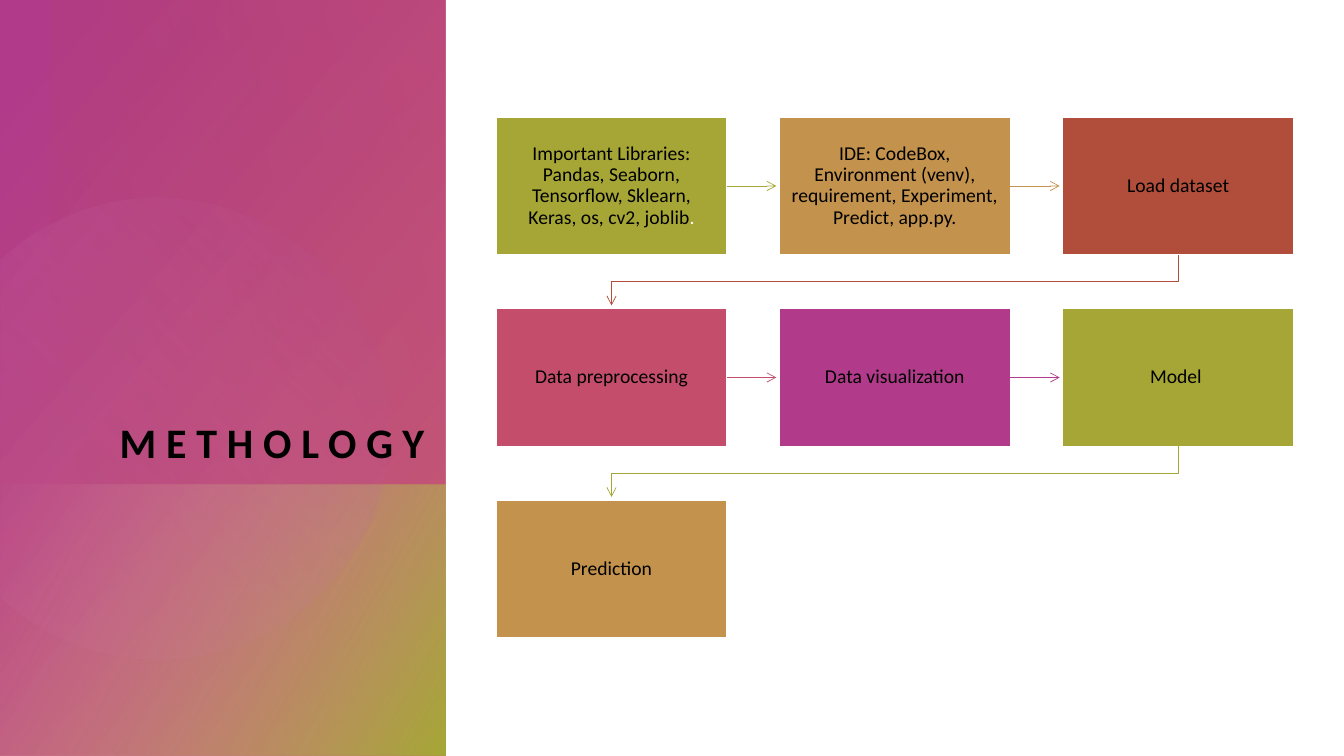
"""Build the methodology slide: a gradient sidebar and a seven-step flow."""
from itertools import pairwise
from math import cos, radians, sin, tan

from lxml import etree
from pptx import Presentation
from pptx.dml.color import RGBColor
from pptx.enum.shapes import MSO_CONNECTOR as Link, MSO_SHAPE as Shape
from pptx.enum.text import MSO_ANCHOR as Anchor, PP_ALIGN as Align
from pptx.oxml.ns import qn
from pptx.util import Inches, Pt

colour = RGBColor.from_string
OLIVE, OCHRE, RUST, ROSE, PURPLE = "A6A637", "C3924D", "B14E3B", "C34D6B", "B13B8A"


def blend(shape, angle, *stops):
    """Fill a shape with a gradient of (position, colour, opacity) stops."""
    shape.shadow.inherit = False
    shape.line.fill.background()
    shape.fill.solid()
    solid = shape.element.spPr.find(qn("a:solidFill"))
    gradient = etree.Element(qn("a:gradFill"), rotWithShape="1")
    stop_list = etree.SubElement(gradient, qn("a:gsLst"))
    for position, tone, opacity in stops:
        stop = etree.SubElement(stop_list, qn("a:gs"), pos=str(position * 1000))
        value = etree.SubElement(stop, qn("a:srgbClr"), val=tone)
        etree.SubElement(value, qn("a:alpha"), val=str(opacity * 1000))
    etree.SubElement(gradient, qn("a:lin"), ang=str(angle * 60000), scaled="0")
    solid.getparent().replace(solid, gradient)


def write(shape, text, size=14, bold=False, align=Align.CENTER, anchor=Anchor.MIDDLE,
          inset=(0.11, 0.12), line_spacing=0.9, tracking=0, white_end=""):
    """Put one paragraph in a shape, with an optional white ending."""
    frame = shape.text_frame
    frame.word_wrap = True
    frame.vertical_anchor = anchor
    frame.margin_left = frame.margin_right = Inches(inset[0])
    frame.margin_top = frame.margin_bottom = Inches(inset[1])
    para = frame.paragraphs[0]
    para.alignment = align
    para.line_spacing = line_spacing
    for part, tone in ((text, "000000"), (white_end, "FFFFFF")):
        if part:
            span = para.add_run()
            span.text = part
            span.font.name = "Calibri"
            span.font.size = Pt(size)
            span.font.bold = bold
            span.font.color.rgb = colour(tone)
            if tracking:
                span.font._element.set("spc", str(tracking * 100))


deck = Presentation()
deck.slide_width, deck.slide_height = Inches(13.33), Inches(7.5)
page = deck.slides.add_slide(deck.slide_layouts[6])
shapes = page.shapes

side, split, height = Inches(4.42), Inches(4.81), deck.slide_height
panel = shapes.add_shape(Shape.RECTANGLE, 0, 0, side, height)
blend(panel, 40, (8, PURPLE, 100), (100, ROSE, 89))
lower = shapes.add_shape(Shape.RECTANGLE, 0, split, side, height - split)
blend(lower, 30, (0, "DB94A6", 0), (99, OLIVE, 100))

centre_x, centre_y, radius = Inches(1.57), Inches(4.25), Inches(2.29)
turns = [radians(degrees) for degrees in (-133, -90, 0, 90, 133)]
rim = [(round(centre_x + radius * cos(turn)), round(centre_y + radius * sin(turn)))
       for turn in turns]
builder = shapes.build_freeform(*rim[0], scale=1.0)
builder.add_line_segments(rim[1:], close=True)
disc = builder.convert_to_shape()
chords = list(disc.element.iter(qn("a:lnTo")))
for chord, (start, end) in zip(chords, pairwise(turns)):
    handle = 4 / 3 * tan((end - start) / 4)
    curve = etree.Element(qn("a:cubicBezTo"))
    for turn, pull in ((start, handle), (end, -handle), (end, 0)):
        across = centre_x + radius * (cos(turn) - pull * sin(turn)) - disc.left
        down = centre_y + radius * (sin(turn) + pull * cos(turn)) - disc.top
        etree.SubElement(curve, qn("a:pt"), x=str(round(across)), y=str(round(down)))
    chord.getparent().replace(chord, curve)
blend(disc, 314, (36, "D684BB", 6), (100, PURPLE, 26))

glow = shapes.add_shape(Shape.RECTANGLE, Inches(0.5), 0, side - Inches(0.5), split)
blend(glow, 160, (0, ROSE, 29), (100, RUST, 0))

title = shapes.add_textbox(Inches(0.5), Inches(0.95), Inches(3.71), Inches(3.68))
write(title, "METHOLOGY", size=30, bold=True, align=Align.RIGHT, anchor=Anchor.BOTTOM,
      inset=(0, 0), line_spacing=1.0, tracking=7)

steps = [
    ("Important Libraries: Pandas, Seaborn, Tensorflow, Sklearn, Keras, os, cv2, joblib",
     OLIVE, "."),
    ("IDE: CodeBox, Environment (venv), requirement, Experiment, Predict, app.py.", OCHRE, ""),
    ("Load dataset", RUST, ""),
    ("Data preprocessing", ROSE, ""),
    ("Data visualization", PURPLE, ""),
    ("Model ", OLIVE, ""),
    ("Prediction", OCHRE, ""),
]
columns = 3
grid_left, grid_top = Inches(4.92), Inches(1.16)
box_width, box_height = Inches(2.29), Inches(1.37)
pitch_x, pitch_y = Inches(2.81), Inches(1.9)
gap, reach = Inches(0.03), Inches(0.49)

for index, (text, tone, ending) in enumerate(steps):
    row, column = divmod(index, columns)
    left, top = grid_left + column * pitch_x, grid_top + row * pitch_y
    box = shapes.add_shape(Shape.RECTANGLE, left, top, box_width, box_height)
    box.shadow.inherit = False
    box.fill.solid()
    box.fill.fore_color.rgb = colour(tone)
    box.line.color.rgb = colour("FFFFFF")
    box.line.width = Pt(1)
    write(box, text, white_end=ending)

    if index == len(steps) - 1:
        continue
    if column < columns - 1:
        start, middle = left + box_width, top + box_height // 2
        arrow = shapes.add_connector(Link.STRAIGHT, start, middle, start + reach, middle)
    else:
        start_x, end_x = left + box_width // 2, grid_left + box_width // 2
        start_y, end_y = top + box_height, top + pitch_y - gap
        bend = (start_y + top + pitch_y) // 2
        builder = shapes.build_freeform(start_x, start_y, scale=1.0)
        builder.add_line_segments([(start_x, bend), (end_x, bend), (end_x, end_y)], close=False)
        arrow = builder.convert_to_shape()
        arrow.fill.background()
    arrow.line.color.rgb = colour(tone)
    arrow.line.width = Pt(0.5)
    properties = arrow.element.spPr
    etree.SubElement(properties.find(qn("a:ln")), qn("a:tailEnd"), type="arrow")
    etree.SubElement(properties, qn("a:effectLst"))

deck.save("out.pptx")
